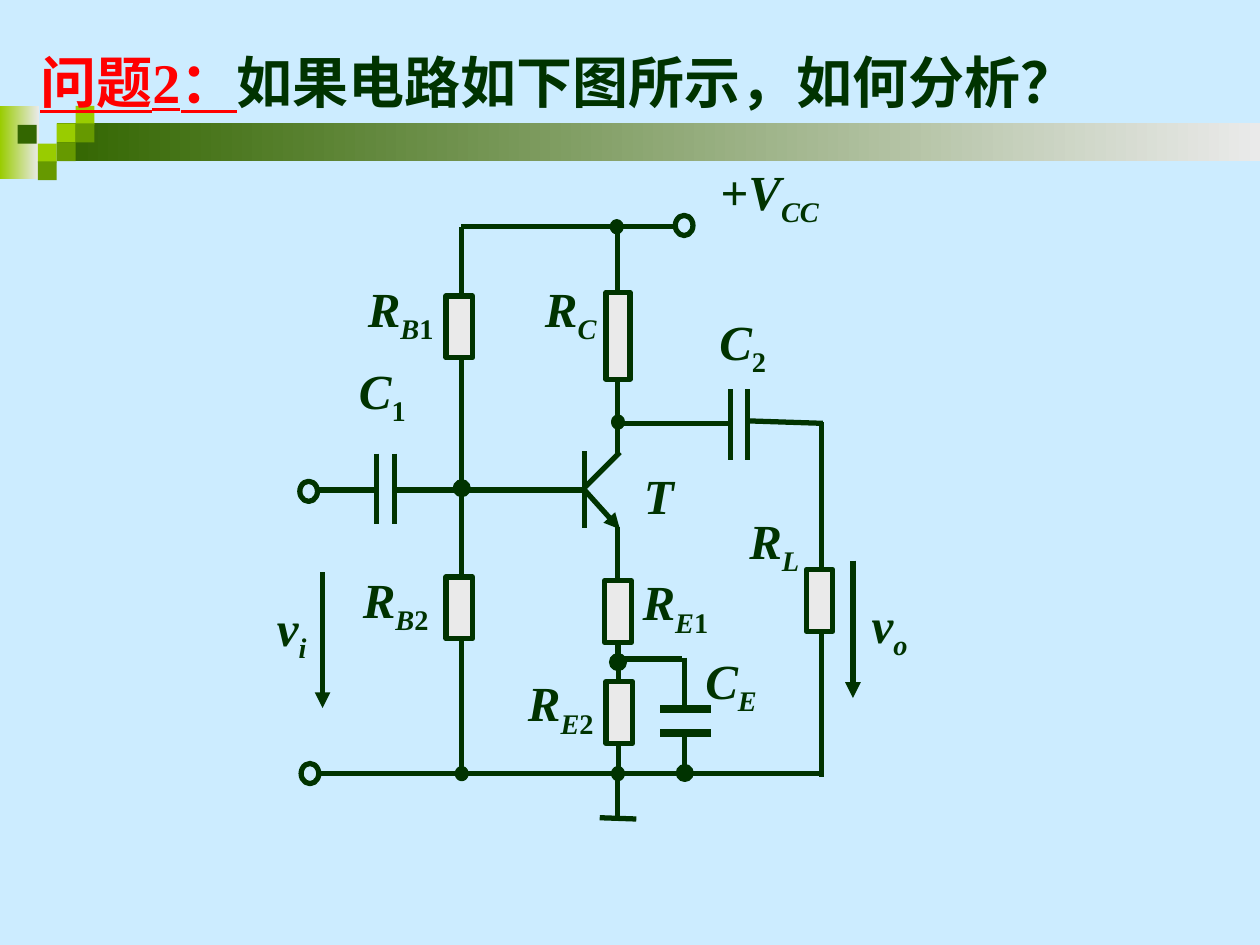
from itertools import groupby

from lxml import etree
from pptx import Presentation
from pptx.dml.color import RGBColor
from pptx.enum import shapes, text
from pptx.oxml.ns import qn
from pptx.util import Inches, Pt

INK, PALE = "003300", "EAEAEA"
LIME, LEAF, FOREST = "99CC00", "669900", "336600"
FONT = "Times New Roman"
color = RGBColor.from_string

deck = Presentation()
deck.slide_width, deck.slide_height = Inches(10), Inches(7.5)
page = deck.slides.add_slide(deck.slide_layouts[5])
page.background.fill.solid()
page.background.fill.fore_color.rgb = color("CCECFF")


def add_block(kind, left, top, width, height, fill=None, line=None):
    """Add a preset shape; fill is a hex colour, a pair for a gradient, or None."""
    block = page.shapes.add_shape(kind, *map(Inches, (left, top, width, height)))
    block.shadow.inherit = False
    if fill is None:
        block.fill.background()
    elif isinstance(fill, tuple):
        block.fill.gradient()
        block.fill.gradient_angle = 0
        for stop, shade in zip(block.fill.gradient_stops, fill):
            stop.color.rgb = color(shade)
    else:
        block.fill.solid()
        block.fill.fore_color.rgb = color(fill)
    if line:
        block.line.color.rgb = color(INK)
        block.line.width = Pt(line)
    else:
        block.line.fill.background()


def add_wire(x1, y1, x2, y2, weight=3, arrow=False):
    wire = page.shapes.add_connector(
        shapes.MSO_CONNECTOR.STRAIGHT, *map(Inches, (x1, y1, x2, y2)))
    wire.line.color.rgb = color(INK)
    wire.line.width = Pt(weight)
    if arrow:
        etree.SubElement(wire.line._get_or_add_ln(), qn("a:tailEnd"), type="triangle")
    etree.SubElement(wire._element.spPr, qn("a:effectLst"))


RECT, OVAL = shapes.MSO_SHAPE.RECTANGLE, shapes.MSO_SHAPE.OVAL

# Banner with its pixel squares
add_block(RECT, 0, 0.84, 0.31, 0.58, (LIME, PALE))
add_block(RECT, 0.45, 0.98, 9.55, 0.3, (FOREST, PALE))
for left, top, shade in [
    (0.45, 0.98, LIME), (0.6, 0.84, LIME), (0.6, 0.98, LEAF), (0.3, 1.14, LIME),
    (0.14, 0.99, FOREST), (0.45, 1.13, LEAF), (0.3, 1.28, LEAF),
]:
    add_block(RECT, left, top, 0.15, 0.15, shade)

# Title, kept in front of the banner
title = page.shapes.title
title.left, title.top, title.width, title.height = map(Inches, (0.22, 0.32, 9.04, 0.64))
frame = title.text_frame
frame.word_wrap = True
frame.auto_size = text.MSO_AUTO_SIZE.SHAPE_TO_FIT_TEXT
frame.vertical_anchor = text.MSO_ANCHOR.MIDDLE
para = frame.paragraphs[0]
para.alignment = text.PP_ALIGN.LEFT
for words, shade, underline in [
    ("问题2：", "FF0000", True), ("如果电路如下图所示，如何分析？", INK, False),
]:
    span = para.add_run()
    span.text = words
    span.font.name, span.font.size, span.font.bold = FONT, Pt(32), True
    span.font.underline = underline
    span.font.color.rgb = color(shade)
page.shapes._spTree.append(title._element)

# Wires
for ends in [
    # supply rail and base divider
    (3.66, 1.8, 5.35, 1.8), (3.66, 1.8, 3.66, 6.16),
    # collector branch
    (4.9, 1.79, 4.9, 3.61),
    # transistor base and collector
    (3.12, 3.89, 4.66, 3.89), (4.64, 3.58, 4.64, 4.19), (4.64, 3.87, 4.92, 3.59),
    # emitter branch
    (4.9, 4.18, 4.9, 5.31), (4.91, 5.08, 4.91, 6.17),
    # input capacitor
    (2.53, 3.89, 2.98, 3.89), (2.99, 3.6, 2.99, 4.16), (3.13, 3.6, 3.13, 4.16),
    # output capacitor and load
    (4.9, 3.36, 5.8, 3.36), (5.8, 3.09, 5.8, 3.65), (5.93, 3.09, 5.93, 3.65),
    (5.92, 3.34, 6.53, 3.36), (6.52, 3.35, 6.52, 6.17),
    # bypass capacitor leads
    (4.88, 5.23, 5.41, 5.23), (5.43, 5.22, 5.43, 5.63), (5.43, 5.85, 5.43, 6.19),
    # ground rail
    (2.53, 6.14, 6.52, 6.14), (4.9, 6.16, 4.9, 6.51), (4.76, 6.49, 5.05, 6.5),
]:
    add_wire(*ends)
for plate_y in (5.63, 5.82):
    add_wire(5.24, plate_y, 5.64, plate_y, weight=4.5)
for arrow in [
    (4.64, 3.89, 4.92, 4.2), (2.56, 4.54, 2.56, 5.62), (6.77, 4.45, 6.77, 5.54),
]:
    add_wire(*arrow, arrow=True)

# Resistors
add_block(RECT, 4.81, 2.32, 0.19, 0.69, PALE, 3)
for left, top in [(3.54, 2.35), (3.54, 4.58), (4.8, 4.61), (4.81, 5.41), (6.4, 4.52)]:
    add_block(RECT, left, top, 0.21, 0.49, PALE, 3)

# Terminals and junctions
for left, top in [(5.36, 1.71), (2.38, 3.82), (2.39, 6.06)]:
    add_block(OVAL, left, top, 0.14, 0.16, None, 3)
for left, top in [(4.86, 1.76), (4.87, 3.31), (3.63, 6.1), (4.87, 6.1)]:
    add_block(OVAL, left, top, 0.07, 0.08, INK, 3)
for left, top in [(4.84, 5.19), (5.37, 6.07), (3.6, 3.81)]:
    add_block(OVAL, left, top, 0.13, 0.13, INK, 1)

# Labels: letters are italic, digits and signs upright
LEFT, CENTER = text.PP_ALIGN.LEFT, text.PP_ALIGN.CENTER
for left, top, width, align, symbol, subscript in [
    (5.62, 1.23, 0.98, LEFT, "+V", "CC"),
    (2.82, 2.16, 0.72, CENTER, "R", "B1"),
    (4.2, 2.16, 0.66, CENTER, "R", "C"),
    (2.75, 2.81, 0.57, CENTER, "C", "1"),
    (5.61, 2.42, 0.57, CENTER, "C", "2"),
    (5.01, 3.64, 0.44, CENTER, "T", ""),
    (2.78, 4.47, 0.72, CENTER, "R", "B2"),
    (5, 4.49, 0.72, CENTER, "R", "E1"),
    (4.09, 5.29, 0.72, CENTER, "R", "E2"),
    (5.5, 5.11, 0.76, LEFT, "C", "E"),
    (5.81, 4, 0.67, CENTER, "R", "L"),
    (2.05, 4.69, 0.53, CENTER, "v", "i"),
    (6.82, 4.67, 1.02, LEFT, "v", "o"),
]:
    height = 0.63 if subscript else 0.57
    box = page.shapes.add_textbox(*map(Inches, (left, top, width, height)))
    frame = box.text_frame
    frame.word_wrap = False
    frame.auto_size = text.MSO_AUTO_SIZE.SHAPE_TO_FIT_TEXT
    frame.vertical_anchor = text.MSO_ANCHOR.MIDDLE
    para = frame.paragraphs[0]
    para.alignment = align
    for part, baseline in [(symbol, "0"), (subscript, "-25000")]:
        for italic, letters in groupby(part, str.isalpha):
            span = para.add_run()
            span.text = "".join(letters)
            span.font.name, span.font.size = FONT, Pt(28)
            span.font.bold, span.font.italic = True, italic
            span.font.color.rgb = color(INK)
            span._r.get_or_add_rPr().set("baseline", baseline)

deck.save("out.pptx")
